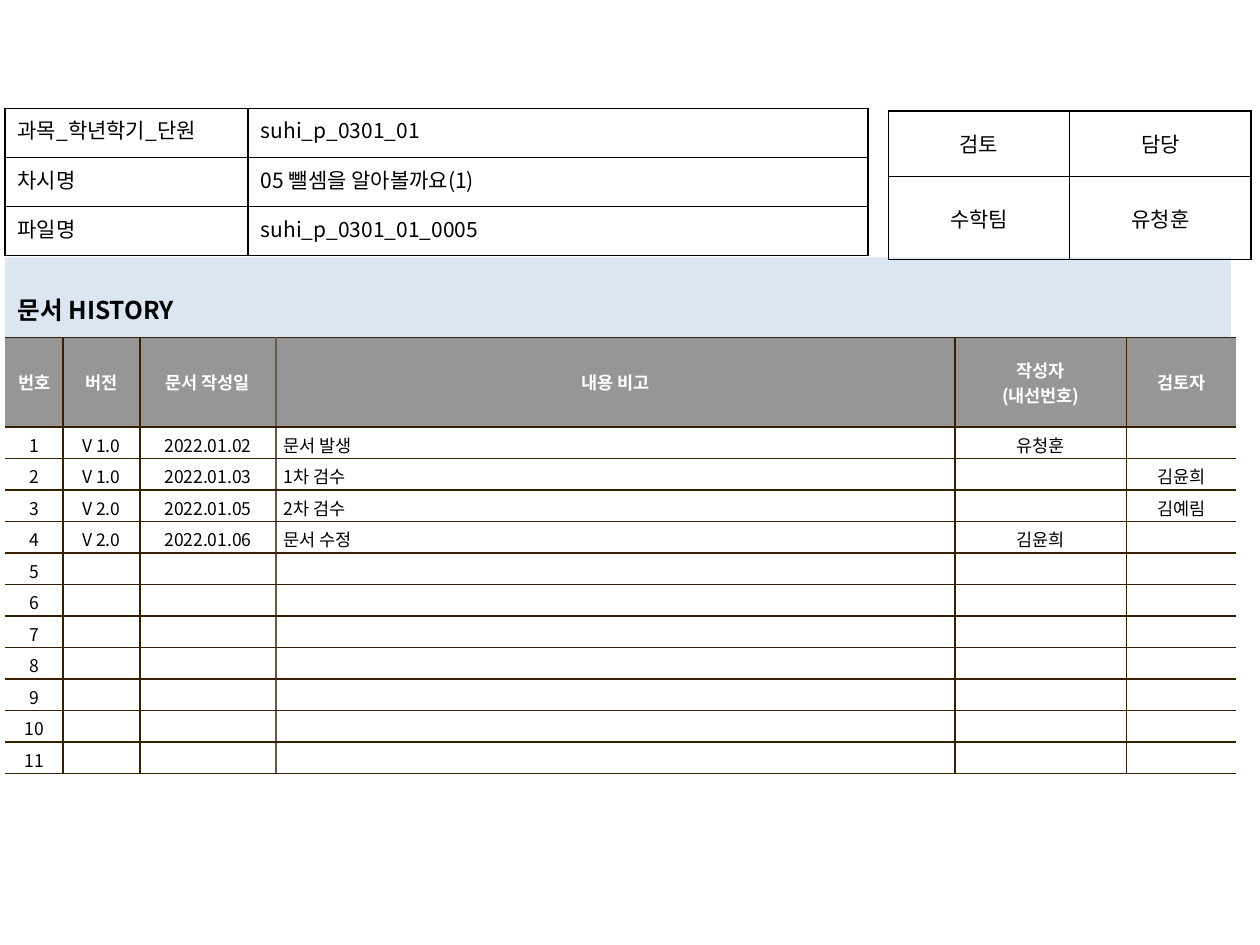
"""Build the document history slide."""
from lxml.etree import SubElement
from pptx import Presentation
from pptx.dml.color import RGBColor
from pptx.enum.text import MSO_ANCHOR, MSO_AUTO_SIZE, PP_ALIGN
from pptx.oxml.ns import qn
from pptx.util import Inches, Pt

FONT = "Noto Sans CJK KR"
HUES = {"ink": "000000", "white": "FFFFFF", "head": "969696",
        "bar": "DCE6F2", "rule": "362000", "soft": "645B4C"}
LEFT, MID, JUST = PP_ALIGN.LEFT, PP_ALIGN.CENTER, PP_ALIGN.JUSTIFY

INFO = [("과목_학년학기_단원", "suhi_p_0301_01"),
        ("차시명", "05 뺄셈을 알아볼까요(1)"),
        ("파일명", "suhi_p_0301_01_0005")]
STAFF = [("검토", "담당"), ("수학팀", "유청훈")]
HEAD = ("번호", "버전", "문서 작성일", "내용 비고", "작성자\n(내선번호)", "검토자")
LOG = [("V 1.0", "2022.01.02", "문서 발생", "유청훈", ""),
       ("V 1.0", "2022.01.03", "1차 검수", "", "김윤희"),
       ("V 2.0", "2022.01.05", "2차 검수", "", "김예림"),
       ("V 2.0", "2022.01.06", "문서 수정", "김윤희", "")]
COUNT = 11


def color(name):
    """Return the named colour."""
    return RGBColor.from_string(HUES[name])


def write(frame, text, size=12, hue="ink", bold=False, align=LEFT, hang=0):
    """Fill a text frame, one paragraph per line."""
    for i, line in enumerate(text.split("\n")):
        para = frame.paragraphs[0] if i == 0 else frame.add_paragraph()
        para.alignment = align
        if hang:
            props = para._p.get_or_add_pPr()
            props.set("marL", str(Inches(hang)))
            props.set("indent", str(-Inches(hang)))
        if not line:
            SubElement(para._p, qn("a:endParaRPr"), sz=str(size * 100))
            continue
        run = para.add_run()
        run.text = line
        font = run.font
        font.name, font.size, font.bold = FONT, Pt(size), bold
        font.color.rgb = color(hue)
        SubElement(font._element, qn("a:ea"), typeface=FONT)


def edge(cell, sides):
    """Draw the borders of a cell from a side-to-colour dict."""
    props = cell._tc.get_or_add_tcPr()
    for side in "LRTB":
        line = SubElement(props, qn(f"a:ln{side}"), w=str(Pt(1)))
        if side in sides:
            fill = SubElement(line, qn("a:solidFill"))
            SubElement(fill, qn("a:srgbClr"), val=HUES[sides[side]])
        else:
            SubElement(line, qn("a:noFill"))


def pad(cell, wide, high):
    """Set the margins of a cell."""
    cell.margin_left = cell.margin_right = Inches(wide)
    cell.margin_top = cell.margin_bottom = Inches(high)


def grid(slide, left, top, cols, rows):
    """Add a plain table with the given column widths and row heights."""
    table = slide.shapes.add_table(
        len(rows), len(cols), Inches(left), Inches(top),
        Inches(sum(cols)), Inches(sum(rows))).table
    table.first_row = table.horz_banding = False
    for col, width in zip(table.columns, cols):
        col.width = Inches(width)
    for row, height in zip(table.rows, rows):
        row.height = Inches(height)
    return table


def box(slide, left, top, cols, rows, data, aligns, anchor):
    """Add a small table with black borders and no fill."""
    table = grid(slide, left, top, cols, rows)
    for r, line in enumerate(data):
        for c, text in enumerate(line):
            cell = table.cell(r, c)
            edge(cell, dict.fromkeys("LRTB", "ink"))
            cell.fill.background()
            pad(cell, 0.1, 0.05)
            cell.vertical_anchor = anchor
            write(cell.text_frame, text, align=aligns[c])


def history(slide):
    """Add the history table, open at its left and right ends."""
    table = grid(slide, 0.04, 2.68, [0.46, 0.61, 1.08, 5.39, 1.36, 0.87],
                 [0.71] + [0.25] * COUNT)
    blank = ("",) * 5
    data = [HEAD] + [(str(i + 1), *(LOG[i] if i < len(LOG) else blank))
                     for i in range(COUNT)]
    walls = [None, "rule", "rule", "soft", "rule", "rule", None]
    for r, line in enumerate(data):
        top = r == 0
        for c, text in enumerate(line):
            cell = table.cell(r, c)
            sides = {"L": walls[c], "R": walls[c + 1], "T": "rule", "B": "rule"}
            edge(cell, {k: v for k, v in sides.items() if v})
            cell.fill.solid()
            cell.fill.fore_color.rgb = color("head" if top else "white")
            pad(cell, 0.06, 0.04)
            cell.vertical_anchor = MSO_ANCHOR.MIDDLE
            note = c == 3 and not top
            write(cell.text_frame, text, size=10, bold=top,
                  hue="white" if top else "ink",
                  align=LEFT if note else MID, hang=0.19 if note else 0)


def title(slide):
    """Turn the title placeholder into the heading bar."""
    bar = slide.shapes.title
    bar.left, bar.top = Inches(0.04), Inches(2.29)
    bar.width, bar.height = Inches(9.73), Inches(0.34)
    bar.fill.solid()
    bar.fill.fore_color.rgb = color("bar")
    frame = bar.text_frame
    frame.word_wrap = True
    frame.auto_size = MSO_AUTO_SIZE.SHAPE_TO_FIT_TEXT
    frame.vertical_anchor = MSO_ANCHOR.MIDDLE
    write(frame, "문서 HISTORY", size=14, bold=True)


def main():
    """Build and save the slide."""
    deck = Presentation()
    deck.slide_width, deck.slide_height = Inches(10), Inches(7.5)
    slide = deck.slides.add_slide(deck.slide_layouts[5])
    title(slide)
    history(slide)
    box(slide, 7.05, 0.88, [1.44, 1.44], [0.52, 0.66], STAFF,
        [MID, MID], MSO_ANCHOR.MIDDLE)
    box(slide, 0.04, 0.86, [1.93, 4.92], [0.39] * 3, INFO,
        [JUST, LEFT], MSO_ANCHOR.TOP)
    deck.save("out.pptx")


if __name__ == "__main__":
    main()
